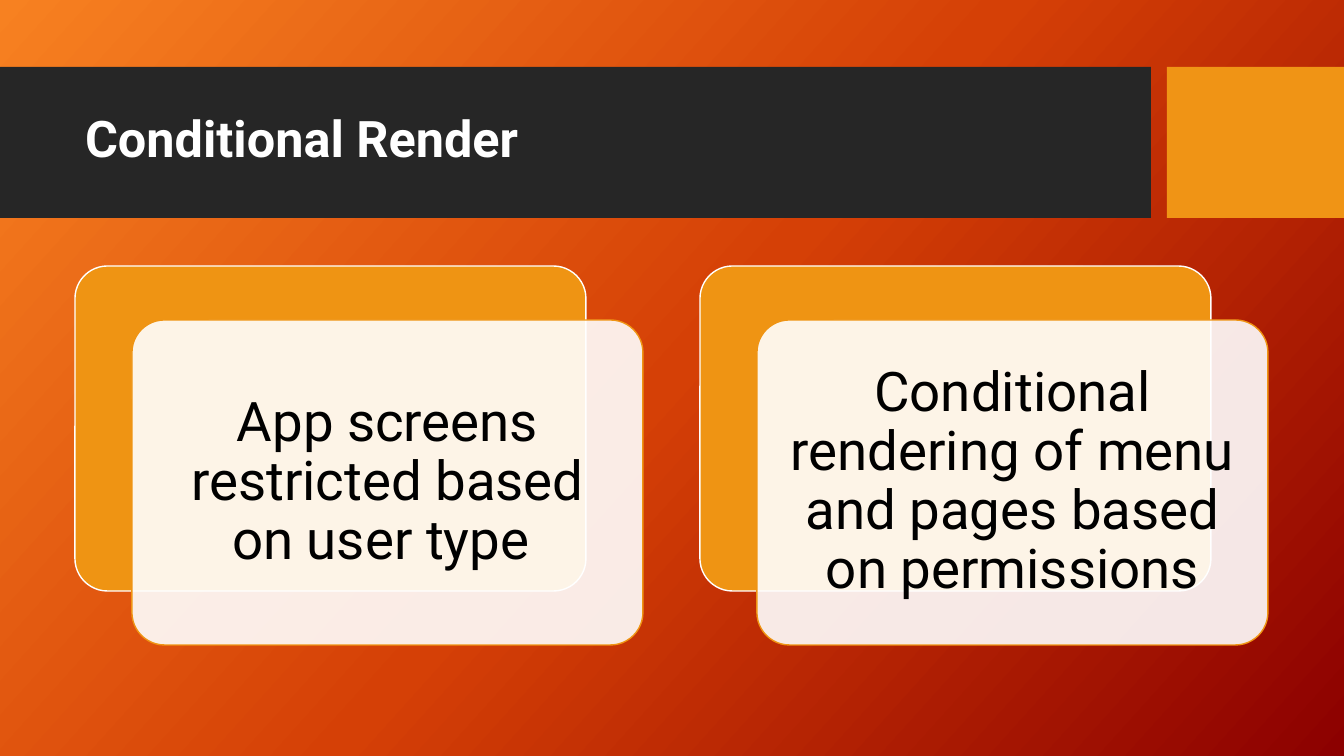
from copy import deepcopy

from pptx import Presentation
from pptx.dml.color import RGBColor
from pptx.enum.shapes import MSO_SHAPE
from pptx.enum.text import MSO_ANCHOR, PP_ALIGN
from pptx.oxml.ns import qn
from pptx.oxml.xmlchemy import OxmlElement
from pptx.util import Emu, Pt

EMU_PER_PX = 914400 / 100.8
WIDTH, HEIGHT = 1344, 756
FONT = "Roboto"
COLORS = {
    "glow": "F78121", "ember": "D54006", "deep": "8C0000",
    "band": "262626", "accent": "F09415", "card": "EF9413",
    "white": "FFFFFF", "black": "000000",
}
CARDS = [
    "App screens restricted based on user type ",
    "Conditional rendering of menu and pages based on permissions",
]


def px(value):
    return Emu(round(value * EMU_PER_PX))


def color(name):
    return RGBColor.from_string(COLORS[name])


def add_block(slide, kind, box, fill, line=None):
    shape = slide.shapes.add_shape(kind, *map(px, box))
    shape.shadow.inherit = False
    shape.fill.solid()
    shape.fill.fore_color.rgb = color(fill)
    if line:
        shape.line.color.rgb = color(line)
        shape.line.width = Pt(1)
    else:
        shape.line.fill.background()
    return shape


def add_text(slide, box, text, size, font_color, margins, align, bold=False):
    text_frame = slide.shapes.add_textbox(*map(px, box)).text_frame
    text_frame.word_wrap = True
    text_frame.vertical_anchor = MSO_ANCHOR.MIDDLE
    text_frame.margin_left = text_frame.margin_right = px(margins[0])
    text_frame.margin_top = text_frame.margin_bottom = px(margins[1])
    text_frame.text = text
    paragraph = text_frame.paragraphs[0]
    paragraph.alignment = align
    paragraph.line_spacing = 0.9
    font = paragraph.runs[0].font
    font.name, font.size, font.bold = FONT, Pt(size), bold
    font.color.rgb = color(font_color)


def set_background(slide):
    fill = slide.background.fill
    fill.gradient()
    fill.gradient_angle = 318
    # The default gradient has two stops; a third is needed
    stop_list = next(slide.element.iter(qn("a:gsLst")))
    stop_list.append(deepcopy(stop_list[0]))
    for stop, name, position in zip(fill.gradient_stops, ("glow", "ember", "deep"), (0, 0.5, 1)):
        stop.color.rgb = color(name)
        stop.position = position


def add_header(slide, left, top, width, height):
    tab_width, gap = 177, 16
    band_width = width - tab_width - gap
    add_block(slide, MSO_SHAPE.RECTANGLE, (left, top, band_width, height), "band")
    add_block(slide, MSO_SHAPE.RECTANGLE,
              (left + width - tab_width, top, tab_width, height), "accent")
    add_text(slide, (left + 75, top + 15, band_width - 92, height - 32),
             "Conditional Render", 36, "white", (10, 5), PP_ALIGN.LEFT, bold=True)


def add_card(slide, left, top, width, height, text):
    shift_x, shift_y, inset = 57, 54, 9
    panel_width, panel_height = width - shift_x, height - shift_y
    front_left, front_top = left + shift_x, top + shift_y
    # Solid panel behind
    back = add_block(slide, MSO_SHAPE.ROUNDED_RECTANGLE,
                     (left, top, panel_width, panel_height), "card", "white")
    # Translucent panel in front
    front = add_block(slide, MSO_SHAPE.ROUNDED_RECTANGLE,
                      (front_left, front_top, panel_width, panel_height), "white", "card")
    for panel in (back, front):
        panel.adjustments[0] = 0.1
    alpha = OxmlElement("a:alpha")
    alpha.set("val", "90000")
    next(front.element.spPr.iter(qn("a:srgbClr"))).append(alpha)
    # Card text
    add_text(slide, (front_left + inset, front_top + inset,
                     panel_width - 2 * inset, panel_height - 2 * inset),
             text, 39, "black", (16, 16), PP_ALIGN.CENTER)


def add_cards(slide, left, top, width, height):
    pitch = 625
    for index, text in enumerate(CARDS):
        add_card(slide, left + index * pitch, top, width - pitch, height, text)


def main():
    presentation = Presentation()
    presentation.slide_width, presentation.slide_height = px(WIDTH), px(HEIGHT)
    slide = presentation.slides.add_slide(presentation.slide_layouts[6])
    set_background(slide)
    add_header(slide, 0, 67, WIDTH, 151)
    add_cards(slide, 75, 266, 1193, 379)
    presentation.save("out.pptx")


if __name__ == "__main__":
    main()
